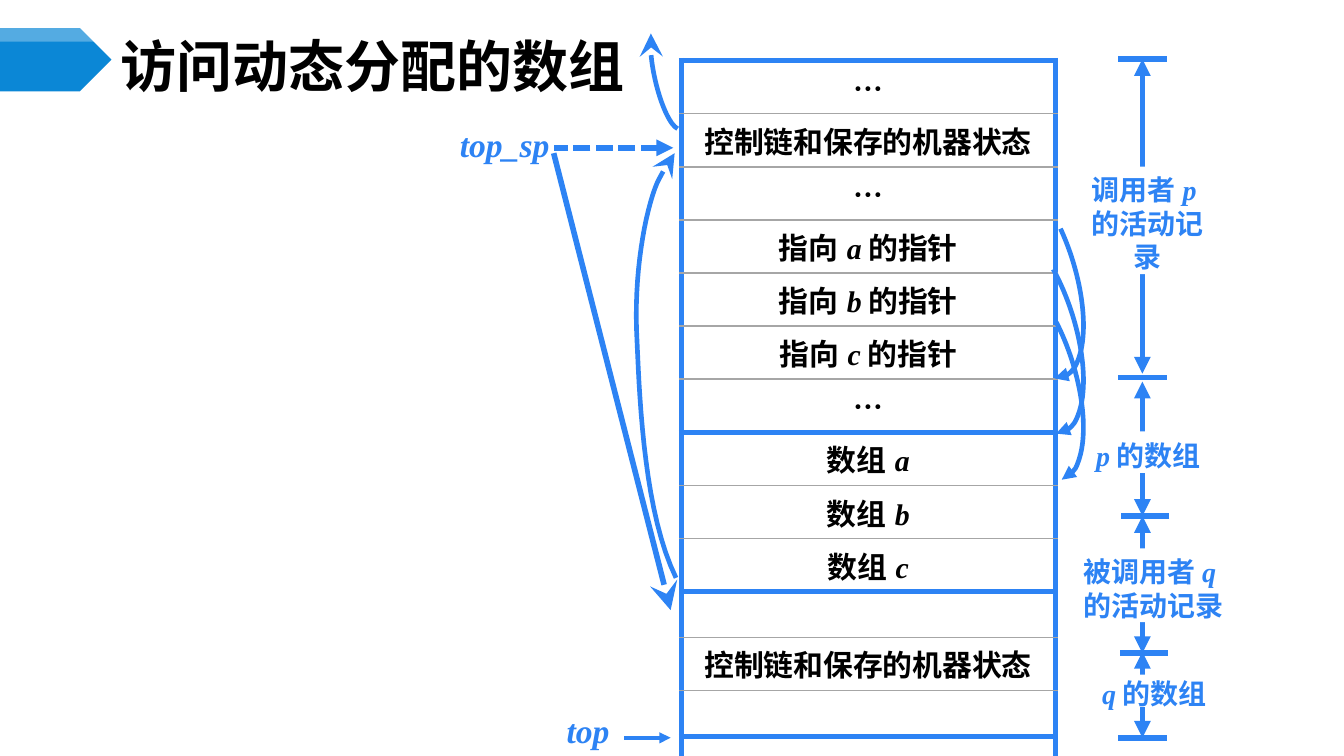
from pptx import Presentation
from pptx.dml.color import RGBColor
from pptx.enum.dml import MSO_LINE
from pptx.enum.shapes import MSO_CONNECTOR, MSO_SHAPE as Form
from pptx.enum.text import MSO_ANCHOR as Anchor, PP_ALIGN as Align
from pptx.oxml.ns import qn
from pptx.oxml.xmlchemy import OxmlElement as Node
from pptx.util import Inches, Pt

BLUE, GREY, BLACK, WHITE = "2D83F4", "A6A6A6", "000000", "FFFFFF"
HAN, LATIN = "Noto Sans CJK SC", "Times New Roman"

STATE = ["控制链和保存的机器状态"]
ROWS = [
    ["…"], STATE, ["…"],
    *[["指向", name, "的指针"] for name in "abc"],
    ["…"],
    *[["数组", name] for name in "abc"],
    [], STATE, [], [],
]
EDGES = {0, 7, 10, 13, 14}


def color(code):
    return RGBColor.from_string(code)


def box(x, y, w, h):
    return Inches(x), Inches(y), Inches(w), Inches(h)


def inset(item, left, top, right, base):
    item.margin_left, item.margin_top = Inches(left), Inches(top)
    item.margin_right, item.margin_bottom = Inches(right), Inches(base)


def write(frame, parts, size, code, align=Align.CENTER, pitch=None):
    para = frame.paragraphs[0]
    para.alignment = align
    if pitch:
        para.line_spacing = Pt(pitch)
    for part in parts:
        run = para.add_run()
        run.text = part
        font = run.font
        font.size, font.bold, font.italic = Pt(size), True, part.isascii()
        font.color.rgb = color(code)
        font.name = LATIN if part.isascii() else HAN
        east = Node("a:ea")
        east.set("typeface", HAN)
        run._r.rPr.append(east)


def stroke(shape, width, head=None, tail=None, dash=None):
    line = shape.line
    line.color.rgb = color(BLUE)
    line.width = Pt(width)
    if dash:
        line.dash_style = dash
    for tag, kind in (("a:headEnd", head), ("a:tailEnd", tail)):
        if kind:
            end = Node(tag)
            end.set("type", kind)
            if kind == "stealth":
                end.set("w", "lg")
                end.set("len", "lg")
            shape.element.spPr.find(qn("a:ln")).append(end)


def link(shapes, start, stop, width=3, **style):
    line = shapes.add_connector(
        MSO_CONNECTOR.STRAIGHT, *map(Inches, start), *map(Inches, stop))
    stroke(line, width, **style)
    line.element.spPr.append(Node("a:effectLst"))


def arc(shapes, place, turn, ends, head):
    curve = shapes.add_shape(Form.ARC, *box(*place))
    curve.shadow.inherit = False
    curve.fill.background()
    for i, end in enumerate(ends):
        curve.adjustments[i] = end
    curve.rotation = turn
    curve.element.spPr.find(qn("a:xfrm")).set("flipV", "1")
    stroke(curve, 2.5, head=head)


def bezier(a, b, c, d, steps=16):
    for i in range(1, steps + 1):
        t = i / steps
        u = 1 - t
        yield tuple(u**3 * p + 3 * u * u * t * q + 3 * u * t * t * r + t**3 * s
                    for p, q, r, s in zip(a, b, c, d))


def chain(shapes, knots):
    points = [p for i in range(0, len(knots) - 1, 3)
              for p in bezier(*knots[i:i + 4])]
    build = shapes.build_freeform(*map(Inches, knots[0]))
    build.add_line_segments(
        [(Inches(x), Inches(y)) for x, y in points], close=False)
    curve = build.convert_to_shape()
    curve.shadow.inherit = False
    curve.fill.background()
    stroke(curve, 2.5, tail="stealth")


def plate(shapes, place, code, alpha=None):
    shape = shapes.add_shape(Form.PENTAGON, *box(*place))
    shape.shadow.inherit = False
    shape.fill.solid()
    shape.fill.fore_color.rgb = color(code)
    shape.line.fill.background()
    if alpha:
        node = Node("a:alpha")
        node.set("val", str(alpha * 1000))
        shape.element.spPr.find(".//" + qn("a:srgbClr")).append(node)


def note(shapes, place, parts, pitch=None):
    shape = shapes.add_shape(Form.RECTANGLE, *box(*place))
    shape.shadow.inherit = False
    shape.fill.solid()
    shape.fill.fore_color.rgb = color(WHITE)
    shape.line.fill.background()
    frame = shape.text_frame
    frame.word_wrap = True
    frame.vertical_anchor = Anchor.MIDDLE
    inset(frame, 0.1, 0.09, 0.1, 0.05)
    write(frame, parts, 15, BLUE, pitch=pitch)


def label(shapes, place, text):
    frame = shapes.add_textbox(*box(*place)).text_frame
    frame.word_wrap = True
    inset(frame, 0.1, 0.09, 0.1, 0.05)
    write(frame, [text], 18, BLUE)


def border(cell, tag, code, width):
    line = Node(tag)
    line.set("w", str(Pt(width)))
    fill, tone = Node("a:solidFill"), Node("a:srgbClr")
    tone.set("val", code)
    fill.append(tone)
    line.append(fill)
    cell._tc.get_or_add_tcPr().append(line)


def stack(shapes):
    table = shapes.add_table(len(ROWS), 1, *box(5.07, 0.45, 2.78, 5.05)).table
    table.first_row = table.horz_banding = False
    side, rim = 0.3 / 4, 0.3 / 8
    for i, parts in enumerate(ROWS):
        table.rows[i].height = Inches(0.61 if i == len(ROWS) - 1 else 0.34)
        cell = table.cell(i, 0)
        cell.vertical_anchor = Anchor.MIDDLE
        if parts:
            inset(cell, side, rim, side, rim)
            write(cell.text_frame, parts, 16, BLACK)
        else:
            inset(cell, 0, 0, 0, 0)
        border(cell, "a:lnL", BLUE, 3)
        border(cell, "a:lnR", BLUE, 3)
        for tag, edge in (("a:lnT", i), ("a:lnB", i + 1)):
            border(cell, tag, *((BLUE, 3) if edge in EDGES else (GREY, 1)))
        cell.fill.background()


def head(shapes):
    title = shapes.title
    title.left, title.top, title.width, title.height = box(0.83, 0.29, 8.67, 0.39)
    frame = title.text_frame
    frame.vertical_anchor = Anchor.MIDDLE
    inset(frame, 0.07, 0.04, 0.07, 0.04)
    write(frame, ["访问动态分配的数组"], 30, BLACK, Align.LEFT)


def spans(shapes):
    for top, base in ((0.44, 2.78), (2.84, 3.84), (3.84, 4.86), (4.85, 5.49)):
        link(shapes, (8.5, base), (8.5, top), head="triangle", tail="triangle")
    for x, y in ((8.32, 0.44), (8.32, 2.81), (8.34, 3.84), (8.33, 4.86), (8.32, 5.49)):
        link(shapes, (x + 0.36, y), (x, y))
    note(shapes, (7.96, 1.24, 1.16, 0.8), ["调用者", "p", "的活动记录"], 18)
    note(shapes, (8, 3.21, 1.09, 0.31), ["p", "的数组"])
    note(shapes, (7.91, 4.08, 1.34, 0.55), ["被调用者", "q", "的活动记录"], 18)
    note(shapes, (8.05, 5.02, 1.08, 0.24), ["q", "的数组"])


def main():
    deck = Presentation()
    deck.slide_width, deck.slide_height = Inches(10), Inches(10 * 9 / 16)
    shapes = deck.slides.add_slide(deck.slide_layouts[5]).shapes
    head(shapes)
    plate(shapes, (0, 0.21, 0.83, 0.47), "0B87D6")
    plate(shapes, (0, 0.21, 0.83, 0.1), WHITE, 30)
    stack(shapes)
    chain(shapes, [
        (5.03, 4.3), (4.8, 3.83), (4.76, 3.03), (4.74, 2.54), (4.71, 2.05),
        (4.8, 1.57), (4.89, 1.36), (4.99, 1.16), (5, 1.21), (5.02, 1.14)])
    arc(shapes, (4.87, 0.15, 0.21, 0.82), 167.6, (168.31, 52.3), "stealth")
    spans(shapes)
    for y, ends in ((1.19, (159.69, 20.58)), (1.6, (160.18, 28.67)),
                    (1.95, (161.94, 25.6))):
        arc(shapes, (7.3, y, 0.69, 1.66), 342, ends, "triangle")
    link(shapes, (4.99, 5.49), (4.64, 5.49), 2, head="triangle")
    link(shapes, (4.99, 4.54), (4.12, 1.14), head="stealth")
    link(shapes, (5.01, 1.1), (4.12, 1.1), head="triangle", dash=MSO_LINE.SQUARE_DOT)
    label(shapes, (3.83, 5.19, 1.09, 0.53), "top")
    label(shapes, (3.25, 0.83, 1.01, 0.59), "top_sp")
    deck.save("out.pptx")


if __name__ == "__main__":
    main()
